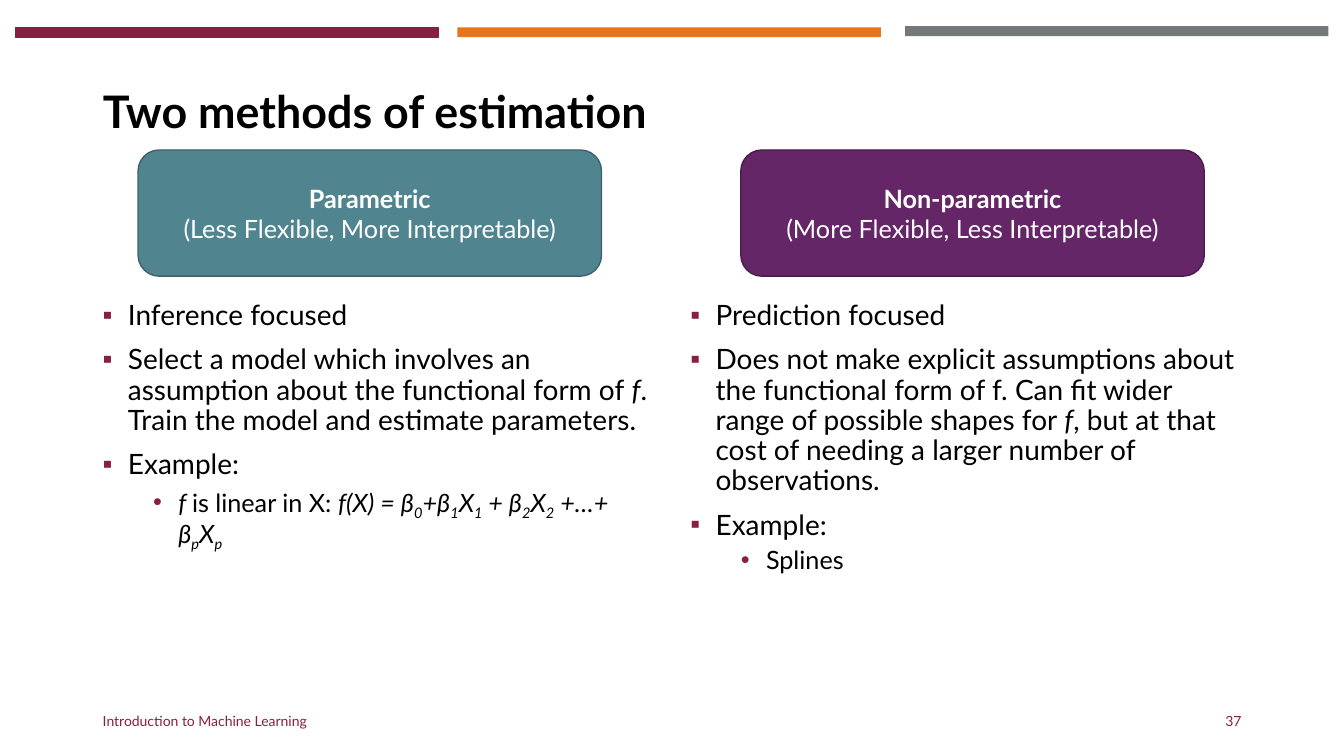
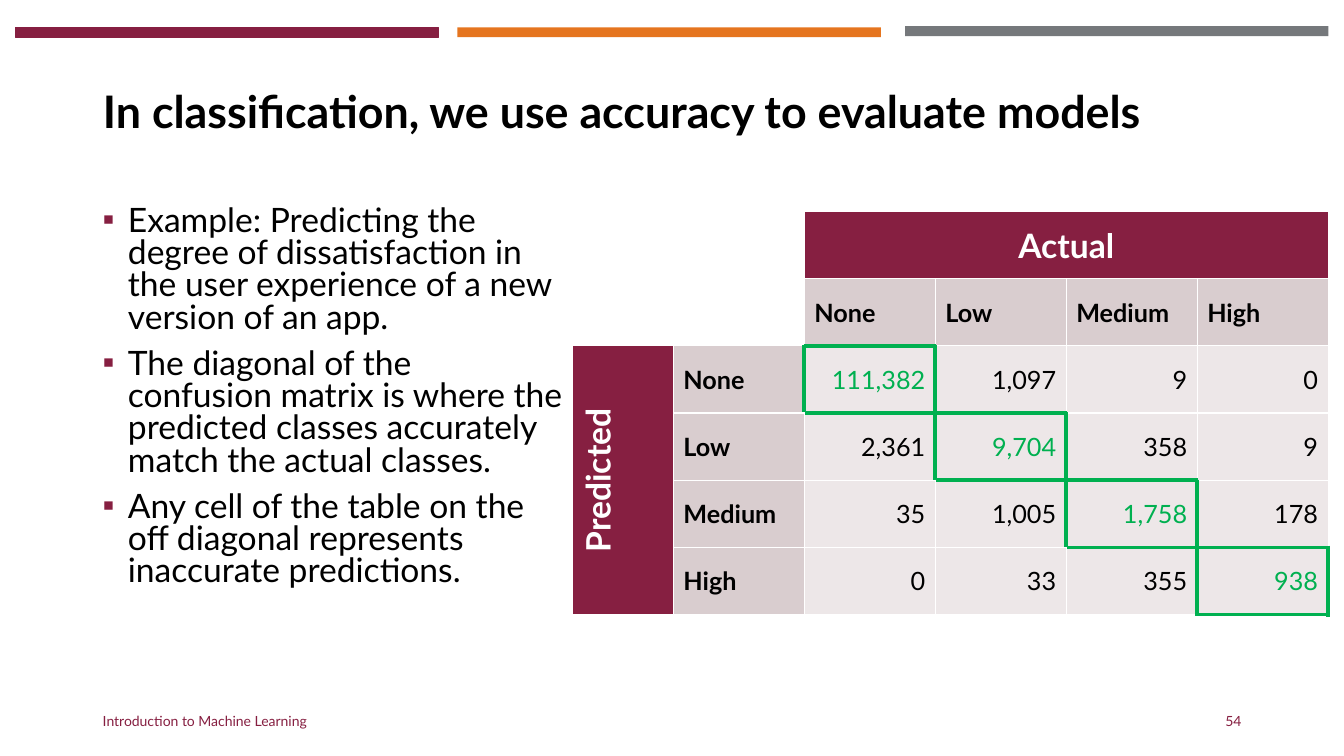
from lxml.etree import SubElement
from pptx import Presentation
from pptx.dml.color import RGBColor
from pptx.enum.shapes import MSO_SHAPE
from pptx.enum.text import MSO_ANCHOR, MSO_AUTO_SIZE, PP_ALIGN
from pptx.oxml.ns import qn
from pptx.util import Cm, Pt

FONT = "Lato"
BLACK, WHITE, MAROON = "000000", "FFFFFF", "861F41"
ORANGE, GREY, GREEN = "E5751F", "75787B", "00B050"
TEAL, PURPLE = "508590", "642667"
HEAD, DATA = "D9CDCF", "EDE7E8"
LEFT, RIGHT = 2.34, 31.54
BARS = [(0.38, 0.69, MAROON), (22.81, 0.66, GREY), (11.53, 0.69, ORANGE)]
LEVELS = [("▪", 0.635, 10), ("•", 1.905, 5)]

NAMES = ["None", "Low", "Medium", "High"]
COUNTS = [
    ["111,382", "1,097", "9", "0"],
    ["2,361", "9,704", "358", "9"],
    ["35", "1,005", "1,758", "178"],
    ["0", "33", "355", "938"],
]
FORMULA = ["f(X) = β", "0", "+β", "1", "X", "1", " + β", "2", "X", "2",
           " +…+ β", "p", "X", "p"]
MODEL = [("f ", "i"), ("is linear in X: ", "")] + [
    (part, "is" if n % 2 else "i") for n, part in enumerate(FORMULA)]


def color(code):
    """Turn a hex string into a colour."""
    return RGBColor.from_string(code)


def paint(shape, fill, line=None, width=0.75):
    """Set fill and outline of a shape without shadow."""
    shape.shadow.inherit = False
    shape.fill.solid()
    shape.fill.fore_color.rgb = color(fill)
    if line:
        shape.line.color.rgb = color(line)
        shape.line.width = Pt(width)
    else:
        shape.line.fill.background()


def style(font, size, code=BLACK, bold=False):
    """Set the face, size, colour and weight of a font."""
    font.name, font.size, font.bold = FONT, Pt(size), bold
    font.color.rgb = color(code)


def write(frame, text, size, code=BLACK, bold=False, align=PP_ALIGN.LEFT):
    """Fill a text frame with evenly styled, middle-anchored text."""
    frame.text = text
    frame.word_wrap = True
    frame.vertical_anchor = MSO_ANCHOR.MIDDLE
    for para in frame.paragraphs:
        para.alignment = align
        for run in para.runs:
            style(run.font, size, code, bold)


def label(slide, box, *args, **opts):
    """Add a styled text box."""
    shape = slide.shapes.add_textbox(*map(Cm, box))
    write(shape.text_frame, *args, **opts)


def start(deck, title, number):
    """Add a slide with bars, title and footer."""
    slide = deck.slides.add_slide(deck.slide_layouts[5])
    for left, top, code in BARS:
        bar = slide.shapes.add_shape(
            MSO_SHAPE.RECTANGLE, Cm(left), Cm(top), Cm(10.67), Cm(0.25))
        paint(bar, code, MAROON if code == MAROON else None)
    head = slide.shapes.title
    head.left, head.top = Cm(LEFT), Cm(1.02)
    head.width, head.height = Cm(RIGHT - LEFT), Cm(3.68)
    write(head.text_frame, title, 32, bold=True)
    head.text_frame.auto_size = MSO_AUTO_SIZE.NONE
    head.text_frame.paragraphs[0].line_spacing = 0.9
    label(slide, (LEFT, 17.65, 11.43, 1.02),
          "Introduction to Machine Learning", 10, MAROON)
    label(slide, (RIGHT - 7.62, 17.65, 7.62, 1.02), str(number), 10, MAROON,
          align=PP_ALIGN.RIGHT)
    return slide


def bullet(para, level):
    """Give a paragraph the bullet and indent of its level."""
    mark, indent, _ = LEVELS[level]
    props = para._p.get_or_add_pPr()
    props.set("marL", str(Cm(indent)))
    props.set("indent", str(Cm(-0.635)))
    tint = SubElement(props, qn("a:buClr"))
    SubElement(tint, qn("a:srgbClr"), val=MAROON)
    SubElement(props, qn("a:buFont"), typeface="Arial")
    SubElement(props, qn("a:buChar"), char=mark)
    para.level = level


def points(slide, box, items, size, spacing):
    """Add a bulleted list of (level, runs) items."""
    frame = slide.shapes.add_textbox(*map(Cm, box)).text_frame
    frame.word_wrap = True
    for n, (level, runs) in enumerate(items):
        para = frame.add_paragraph() if n else frame.paragraphs[0]
        bullet(para, level)
        para.line_spacing = spacing
        para.space_before = Pt(LEVELS[level][2] if n else 0)
        for text, marks in runs:
            run = para.add_run()
            run.text = text
            style(run.font, size - 2 * level)
            run.font.italic = "i" in marks
            if "s" in marks:
                run._r.get_or_add_rPr().set("baseline", "-25000")


def method(slide, left, inset, text, fill, line, items):
    """Add a heading card with its list below."""
    card = slide.shapes.add_shape(
        MSO_SHAPE.ROUNDED_RECTANGLE,
        Cm(left + inset), Cm(3.78), Cm(11.68), Cm(3.18))
    paint(card, fill, line, 1)
    write(card.text_frame, text, 18, WHITE, align=PP_ALIGN.CENTER)
    card.text_frame.paragraphs[0].runs[0].font.bold = True
    points(slide, (left, 7.47, 14.4, 9.7), items, 20, 0.9)


def edge(cell, green):
    """Draw the named sides of a cell green and the others white."""
    props = cell._tc.get_or_add_tcPr()
    for side in "LRTB":
        code, width = (GREEN, 3) if side in green else (WHITE, 1)
        line = SubElement(props, qn("a:ln" + side), w=str(Pt(width)))
        fill = SubElement(line, qn("a:solidFill"))
        SubElement(fill, qn("a:srgbClr"), val=code)


def sides(row, col):
    """Name the green sides of a cell near the diagonal."""
    if row == col:
        return "LRTB" if row >= 0 else ""
    if col == row + 1:
        return "LB" if row >= 0 else "B"
    if col == row - 1:
        return "TR" if col >= 0 else "R"
    return ""


def fill(cell, back, text="", *args, **opts):
    """Set the background and text of a cell."""
    cell.fill.solid()
    cell.fill.fore_color.rgb = color(back)
    cell.vertical_anchor = MSO_ANCHOR.MIDDLE
    if text:
        write(cell.text_frame, text, *args, **opts)
        cell.vertical_anchor = MSO_ANCHOR.MIDDLE


def matrix(slide, left, top):
    """Add the confusion matrix."""
    table = slide.shapes.add_table(
        6, 6, Cm(left), Cm(top), Cm(19.05), Cm(10.16)).table
    table.horz_banding = False
    for n in range(6):
        table.columns[n].width = Cm(3.3 if n else 2.54)
        table.rows[n].height = Cm(10.16 / 6)
    for row in range(-2, 4):
        for col in range(-2, 4):
            cell = table.cell(row + 2, col + 2)
            green = sides(row, col) if min(row, col) > -2 else ""
            if green:
                edge(cell, green)
            if row >= 0 and col >= 0:
                fill(cell, DATA, COUNTS[row][col], 18,
                     GREEN if row == col else BLACK, align=PP_ALIGN.RIGHT)
            elif max(row, col) >= 0 and min(row, col) == -1:
                fill(cell, HEAD, NAMES[max(row, col)], 18, bold=True)
            else:
                fill(cell, WHITE if max(row, col) < 0 else MAROON)
    table.cell(0, 2).merge(table.cell(0, 5))
    table.cell(2, 0).merge(table.cell(5, 0))
    for spot, text in (((0, 2), "Actual"), ((2, 0), "Predicted")):
        fill(table.cell(*spot), MAROON, text, 24, WHITE, bold=True,
             align=PP_ALIGN.CENTER)
    table.cell(2, 0)._tc.get_or_add_tcPr().set("vert", "vert270")


def compare(deck):
    """Build the slide on the two methods."""
    slide = start(deck, "Two methods of estimation", 37)
    method(slide, LEFT, 1.14,
           "Parametric\n(Less Flexible, More Interpretable)", TEAL, "3B626B", [
               (0, [("Inference focused", "")]),
               (0, [("Select a model which involves an assumption about the "
                     "functional form of ", ""), ("f", "i"),
                    (". Train the model and estimate parameters.", "")]),
               (0, [("Example:", "")]),
               (1, MODEL)])
    method(slide, 17.15, 1.52,
           "Non-parametric\n(More Flexible, Less Interpretable)",
           PURPLE, "4A1C4C", [
               (0, [("Prediction focused", "")]),
               (0, [("Does not make explicit assumptions about the functional "
                     "form of f. Can fit wider range of possible shapes for ",
                     ""), ("f", "i"),
                    (", but at that cost of needing a larger number of "
                     "observations.", "")]),
               (0, [("Example:", "")]),
               (1, [("Splines", "")])])


def classify(deck):
    """Build the slide on classification accuracy."""
    slide = start(
        deck, "In classification, we use accuracy to evaluate models", 54)
    lines = [
        "Example: Predicting the degree of dissatisfaction in the user "
        "experience of a new version of an app.",
        "The diagonal of the confusion matrix is where the predicted classes "
        "accurately match the actual classes.",
        "Any cell of the table on the off diagonal represents inaccurate "
        "predictions.",
    ]
    points(slide, (LEFT, 5.08, 12.09, 12.09),
           [(0, [(line, "")]) for line in lines], 24, 0.8)
    matrix(slide, 14.43, 5.33)


def main():
    """Build and save the deck."""
    deck = Presentation()
    deck.slide_width, deck.slide_height = Cm(33.87), Cm(19.05)
    compare(deck)
    classify(deck)
    deck.save("out.pptx")


if __name__ == "__main__":
    main()
